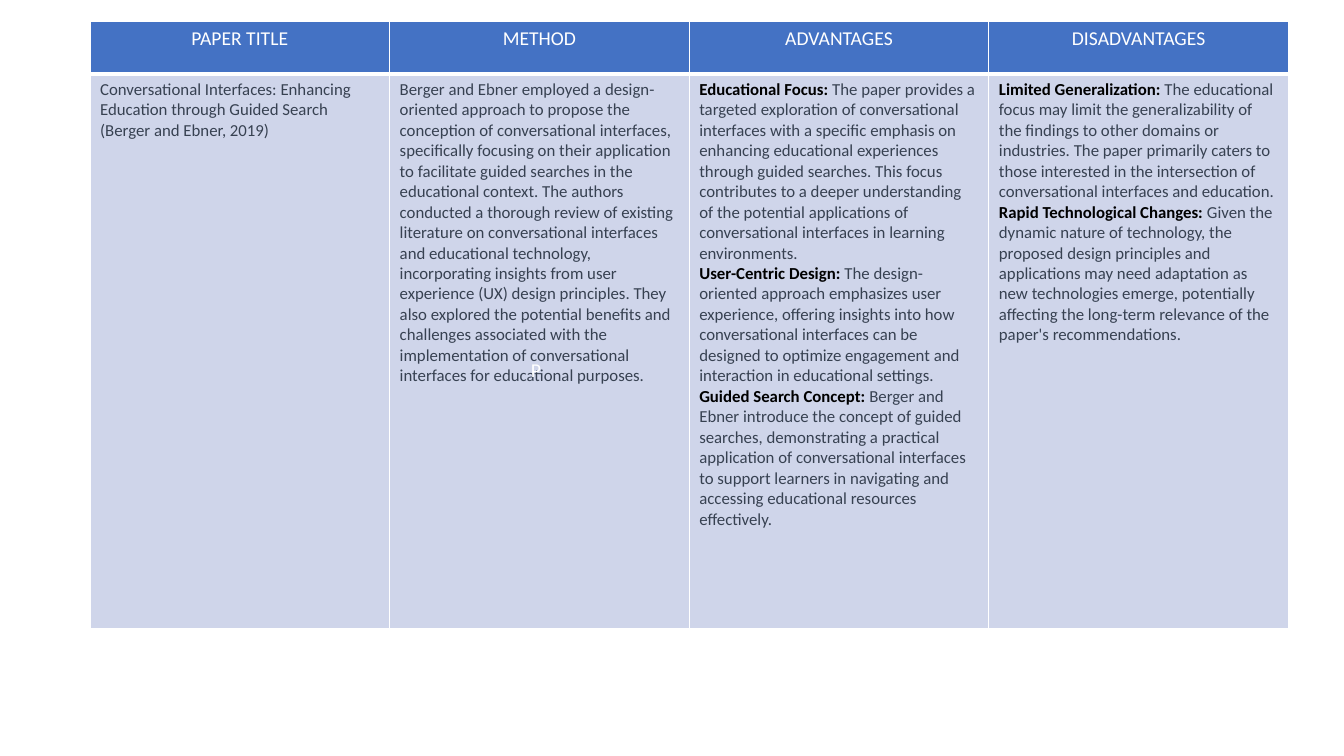
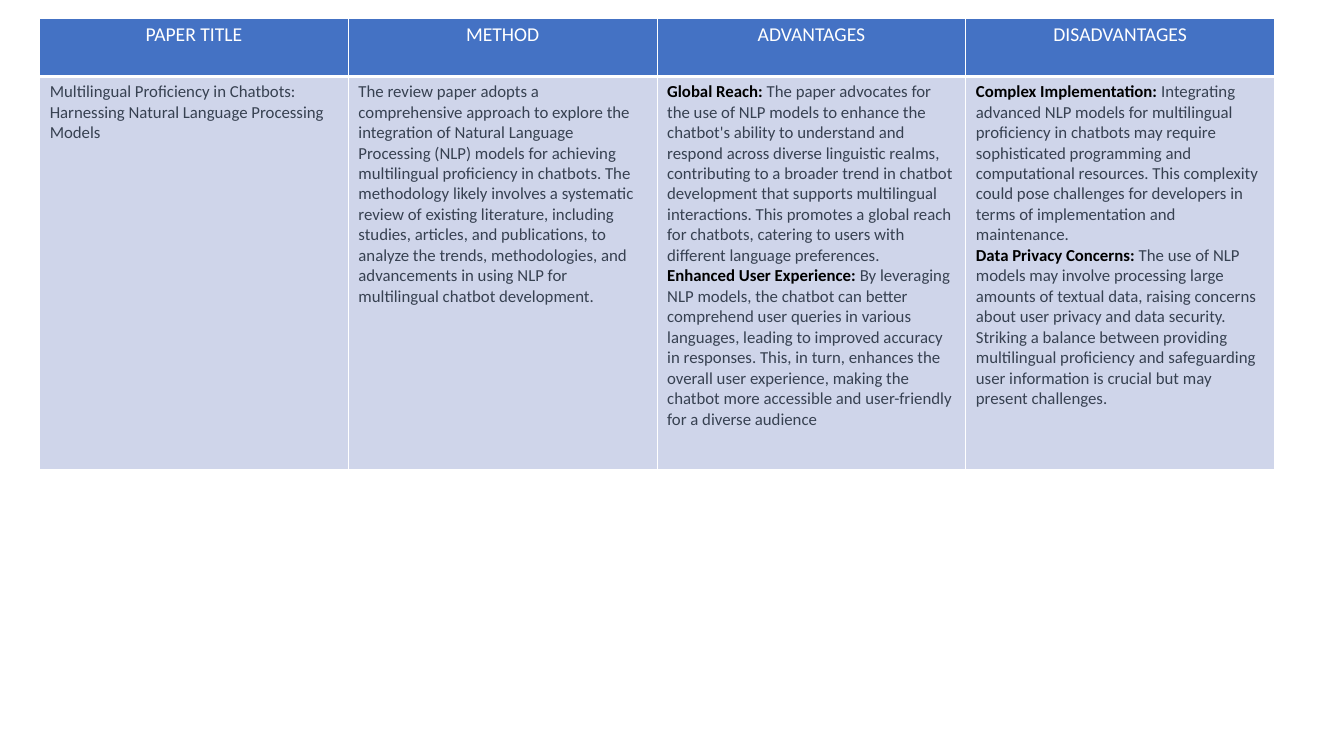
"""Build two literature review slides, each with a table on one paper."""
from lxml import etree
from pptx import Presentation
from pptx.dml.color import RGBColor
from pptx.enum.text import MSO_AUTO_SIZE, PP_ALIGN
from pptx.oxml.ns import qn
from pptx.util import Cm, Pt

CENTER = PP_ALIGN.CENTER
LEFT = PP_ALIGN.LEFT
FIT_SHAPE = MSO_AUTO_SIZE.SHAPE_TO_FIT_TEXT

WHITE = RGBColor(0xFF, 0xFF, 0xFF)
BLACK = RGBColor(0x00, 0x00, 0x00)
BLUE = RGBColor(0x44, 0x72, 0xC4)
PALE_BLUE = RGBColor(0xCF, 0xD5, 0xEA)
SLATE = RGBColor(0x37, 0x41, 0x51)

FONT = "Calibri"
BLANK_LAYOUT = 6
HEADINGS = ["PAPER TITLE", "METHOD", "ADVANTAGES", "DISADVANTAGES"]

INTERFACES_REVIEW = [
    [("", "Conversational Interfaces: Enhancing Education through Guided Search "
          "(Berger and Ebner, 2019)")],
    [("", "Berger and Ebner employed a design-oriented approach to propose the conception of "
          "conversational interfaces, specifically focusing on their application to facilitate "
          "guided searches in the educational context. The authors conducted a thorough review "
          "of existing literature on conversational interfaces and educational technology, "
          "incorporating insights from user experience (UX) design principles. They also "
          "explored the potential benefits and challenges associated with the implementation "
          "of conversational interfaces for educational purposes.")],
    [("Educational Focus:",
      " The paper provides a targeted exploration of conversational interfaces with a specific "
      "emphasis on enhancing educational experiences through guided searches. This focus "
      "contributes to a deeper understanding of the potential applications of conversational "
      "interfaces in learning environments."),
     ("User-Centric Design:",
      " The design-oriented approach emphasizes user experience, offering insights into how "
      "conversational interfaces can be designed to optimize engagement and interaction in "
      "educational settings."),
     ("Guided Search Concept:",
      " Berger and Ebner introduce the concept of guided searches, demonstrating a practical "
      "application of conversational interfaces to support learners in navigating and "
      "accessing educational resources effectively.")],
    [("Limited Generalization:",
      " The educational focus may limit the generalizability of the findings to other domains "
      "or industries. The paper primarily caters to those interested in the intersection of "
      "conversational interfaces and education."),
     ("Rapid Technological Changes:",
      " Given the dynamic nature of technology, the proposed design principles and "
      "applications may need adaptation as new technologies emerge, potentially affecting the "
      "long-term relevance of the paper's recommendations.")],
]

MULTILINGUAL_REVIEW = [
    [("", "Multilingual Proficiency in Chatbots: Harnessing Natural Language Processing "
          "Models")],
    [("", "The review paper adopts a comprehensive approach to explore the integration of "
          "Natural Language Processing (NLP) models for achieving multilingual proficiency in "
          "chatbots. The methodology likely involves a systematic review of existing "
          "literature, including studies, articles, and publications, to analyze the trends, "
          "methodologies, and advancements in using NLP for multilingual chatbot "
          "development.")],
    [("Global Reach:",
      " The paper advocates for the use of NLP models to enhance the chatbot's ability to "
      "understand and respond across diverse linguistic realms, contributing to a broader "
      "trend in chatbot development that supports multilingual interactions. This promotes a "
      "global reach for chatbots, catering to users with different language preferences."),
     ("Enhanced User Experience:",
      " By leveraging NLP models, the chatbot can better comprehend user queries in various "
      "languages, leading to improved accuracy in responses. This, in turn, enhances the "
      "overall user experience, making the chatbot more accessible and user-friendly for a "
      "diverse audience")],
    [("Complex Implementation:",
      " Integrating advanced NLP models for multilingual proficiency in chatbots may require "
      "sophisticated programming and computational resources. This complexity could pose "
      "challenges for developers in terms of implementation and maintenance."),
     ("Data Privacy Concerns:",
      " The use of NLP models may involve processing large amounts of textual data, raising "
      "concerns about user privacy and data security. Striking a balance between providing "
      "multilingual proficiency and safeguarding user information is crucial but may present "
      "challenges.")],
]


def set_borders(cell, top, bottom):
    """Give a cell white borders, 1 pt at the sides."""
    tcPr = cell._tc.get_or_add_tcPr()
    for tag, width in (("a:lnL", 1), ("a:lnR", 1), ("a:lnT", top), ("a:lnB", bottom)):
        ln = etree.SubElement(tcPr, qn(tag), w=str(Pt(width)))
        fill = etree.SubElement(ln, qn("a:solidFill"))
        etree.SubElement(fill, qn("a:srgbClr"), val=str(WHITE))


def set_fill(cell, color):
    """Fill a cell with one colour."""
    cell.fill.solid()
    cell.fill.fore_color.rgb = color


def format_paragraph(p, size, align=LEFT):
    """Set the font and alignment of a paragraph."""
    p.font.name = FONT
    p.font.size = Pt(size)
    p.alignment = align


def add_run(p, text, color, bold=False):
    """Add a coloured run to a paragraph."""
    r = p.add_run()
    r.text = text
    r.font.color.rgb = color
    r.font.bold = bold


def fill_heading(cell, text):
    """Write a column heading."""
    set_borders(cell, top=1, bottom=3)
    set_fill(cell, BLUE)
    p = cell.text_frame.paragraphs[0]
    format_paragraph(p, 14, CENTER)
    add_run(p, text, WHITE)


def fill_body(cell, points):
    """Write paragraphs, each with an optional bold lead."""
    set_borders(cell, top=3, bottom=1)
    set_fill(cell, PALE_BLUE)
    tf = cell.text_frame
    for i, (lead, text) in enumerate(points):
        p = tf.add_paragraph() if i else tf.paragraphs[0]
        format_paragraph(p, 12)
        if lead:
            add_run(p, lead, BLACK, bold=True)
        add_run(p, text, SLATE)


def add_review_table(s, left, top, col_width, row_heights, review):
    """Add a table with equal columns that reviews one paper."""
    width = col_width * len(HEADINGS)
    table = s.shapes.add_table(len(row_heights), len(HEADINGS), Cm(left), Cm(top),
                               Cm(width), Cm(sum(row_heights))).table
    table.horz_banding = False
    for row, height in zip(table.rows, row_heights):
        row.height = Cm(height)
    for i, (heading, points) in enumerate(zip(HEADINGS, review)):
        table.columns[i].width = Cm(col_width)
        fill_heading(table.cell(0, i), heading)
        fill_body(table.cell(1, i), points)


def add_label(s, left, top, width, height, text):
    """Add a white text label."""
    tf = s.shapes.add_textbox(Cm(left), Cm(top), Cm(width), Cm(height)).text_frame
    tf.word_wrap = True
    tf.auto_size = FIT_SHAPE
    p = tf.paragraphs[0]
    format_paragraph(p, 14)
    add_run(p, text, WHITE)


def main():
    """Build and save the presentation."""
    prs = Presentation()
    prs.slide_width, prs.slide_height = Cm(33.87), Cm(19.05)
    layout = prs.slide_layouts[BLANK_LAYOUT]

    s = prs.slides.add_slide(layout)
    add_review_table(s, 2.27, 0.55, 7.55, [1.32, 13.97], INTERFACES_REVIEW)
    add_label(s, 13.13, 8.89, 7.62, 0.86, "P")

    s = prs.slides.add_slide(layout)
    add_review_table(s, 1, 0.46, 7.78, [1.47, 9.9], MULTILINGUAL_REVIEW)

    prs.save("out.pptx")


if __name__ == "__main__":
    main()
